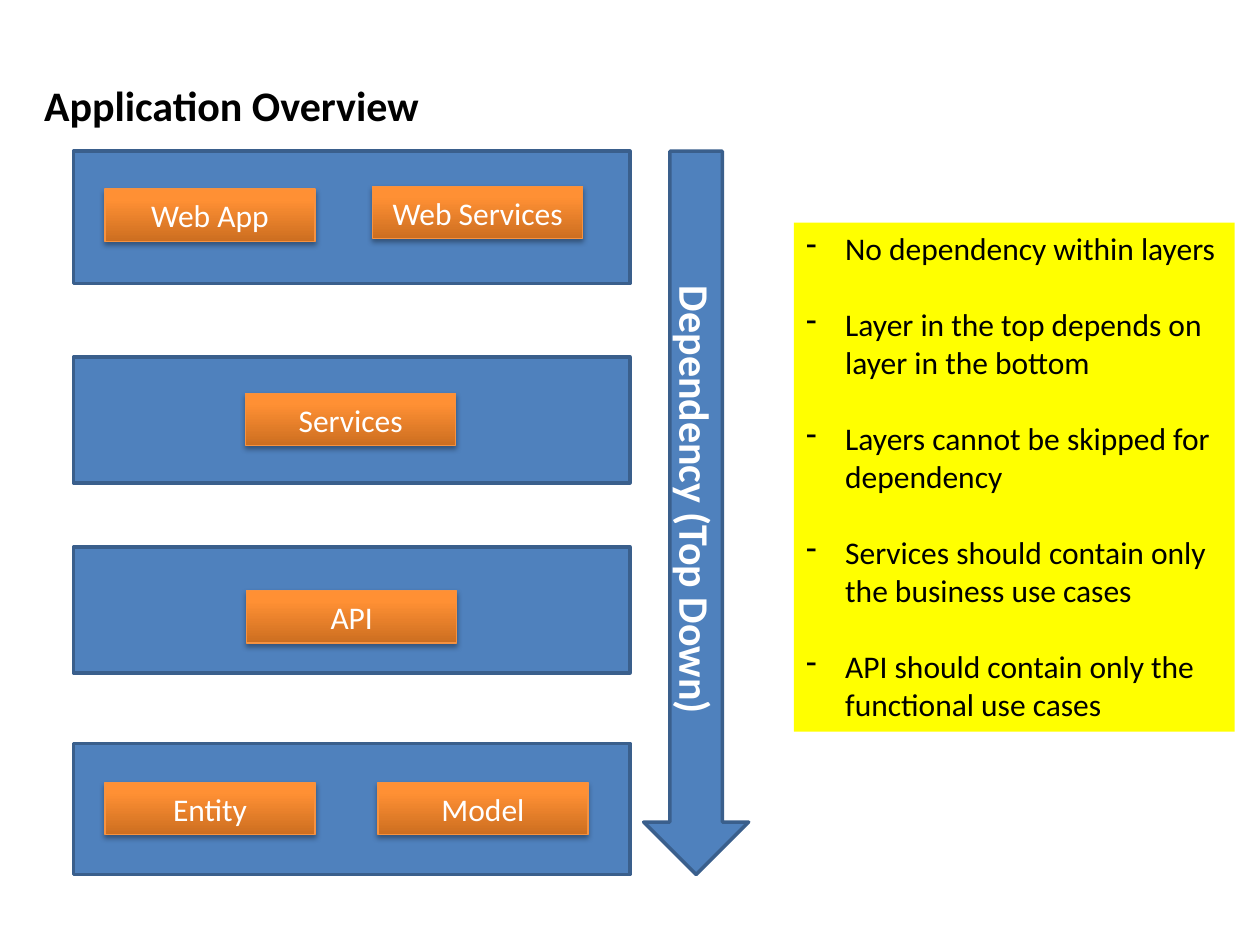
from dataclasses import dataclass

import lxml.etree
import pptx
import pptx.dml.color
import pptx.enum.shapes
import pptx.enum.text
import pptx.oxml.ns
import pptx.util

UNIT = pptx.util.Inches(1) / 12  # grid of 120 columns by 90 rows
KIND = pptx.enum.shapes.MSO_SHAPE
ALIGN = pptx.enum.text.PP_ALIGN
ANCHOR = pptx.enum.text.MSO_ANCHOR
COLORS = {
    "blue": "4F81BD", "navy": "3A5F8C", "edge": "F69240", "dark": "CC6E20",
    "mid": "FF9034", "light": "FF9136", "yellow": "FFFF00",
    "black": "000000", "white": "FFFFFF",
}
SHADE = (("dark", 0), ("mid", 80), ("light", 100))


@dataclass
class Box:
    col: float
    row: float
    cols: float
    rows: float


@dataclass
class Tile:
    name: str
    col: float
    row: float


@dataclass
class Layer:
    row: float
    rows: float
    tiles: tuple[Tile, ...]


LAYERS = (
    Layer(14.4, 12.6, (Tile("Web App", 10, 18), Tile("Web Services", 35.5, 17.75))),
    Layer(34, 12, (Tile("Services", 23.4, 37.45),)),
    Layer(52.1, 12, (Tile("API", 23.5, 56.25),)),
    Layer(70.8, 12.5, (Tile("Entity", 10, 74.5), Tile("Model", 36, 74.5))),
)
NOTES = (
    "No dependency within layers",
    "Layer in the top depends on layer in the bottom",
    "Layers cannot be skipped for dependency",
    "Services should contain only the business use cases",
    "API should contain only the functional use cases",
)


def rgb(name: str):
    return pptx.dml.color.RGBColor.from_string(COLORS[name])


def node(parent, tag: str, **attrs):
    """Add a DrawingML child element."""
    return lxml.etree.SubElement(parent, pptx.oxml.ns.qn(f"a:{tag}"), attrs)


def span(box: Box) -> list[int]:
    return [round(n * UNIT) for n in (box.col, box.row, box.cols, box.rows)]


def style(para, size: int, color: str, bold: bool = False, align=ALIGN.LEFT) -> None:
    para.alignment = align
    font = para.font
    font.name, font.size, font.bold = "Calibri", pptx.util.Pt(size), bold
    font.color.rgb = rgb(color)


def block(slide, box: Box, fill: str = "blue", line: str | None = "navy",
          width: float = 2, kind=KIND.RECTANGLE):
    shape = slide.shapes.add_shape(kind, *span(box))
    shape.shadow.inherit = False
    shape.fill.solid()
    shape.fill.fore_color.rgb = rgb(fill)
    if line:
        shape.line.color.rgb = rgb(line)
        shape.line.width = pptx.util.Pt(width)
    else:
        shape.line.fill.background()
    return shape


def label(shape, text: str, size: int, bold: bool = False) -> None:
    frame = shape.text_frame
    frame.text = text
    frame.vertical_anchor = ANCHOR.MIDDLE
    style(frame.paragraphs[0], size, "white", bold, ALIGN.CENTER)


def glow(shape) -> None:
    """Give a tile its orange gradient and soft drop shadow."""
    shape.fill.gradient()
    shape.fill.gradient_angle = 90
    props = shape._element.spPr
    stops = props.find(".//" + pptx.oxml.ns.qn("a:gsLst"))
    for stop in list(stops):
        stops.remove(stop)
    for name, share in SHADE:
        stop = node(stops, "gs", pos=str(share * 1000))
        node(stop, "srgbClr", val=COLORS[name])
    shade = node(props.find(pptx.oxml.ns.qn("a:effectLst")), "outerShdw",
                 blurRad=str(pptx.util.Pt(3.1)), dist=str(pptx.util.Pt(1.8)),
                 dir="5400000", rotWithShape="0")
    node(node(shade, "srgbClr", val=COLORS["black"]), "alpha", val="35000")


def stack(slide, layer: Layer) -> None:
    block(slide, Box(7, layer.row, 53, layer.rows))
    for tile in layer.tiles:
        shape = block(slide, Box(tile.col, tile.row, 20, 5), "mid", "edge", 0.75)
        glow(shape)
        label(shape, tile.name, 18)


def head(slide) -> None:
    title = slide.shapes.title
    title.left, title.top, title.width, title.height = span(Box(3, 7, 103, 6))
    frame = title.text_frame
    frame.text = "Application Overview"
    frame.vertical_anchor = ANCHOR.TOP
    style(frame.paragraphs[0], 24, "black", True)


def arrow(slide) -> None:
    shape = block(slide, Box(61.3, 14.4, 10, 68.9), kind=KIND.DOWN_ARROW)
    label(shape, "Dependency (Top Down)", 24, True)
    shape.text_frame._txBody.bodyPr.set("vert", "vert")


def notes(slide) -> None:
    frame = block(slide, Box(75.6, 21.2, 42, 48.5), "yellow", None).text_frame
    frame.vertical_anchor = ANCHOR.TOP
    frame.text = "\n".join(NOTES)
    dent = pptx.util.Inches(0.31)
    for num, para in enumerate(frame.paragraphs):
        style(para, 18, "black")
        para.space_before = pptx.util.Pt(22 if num else 0)
        props = para._p.get_or_add_pPr()
        props.set("marL", str(dent))
        props.set("indent", str(-dent))
        mark = lxml.etree.Element(pptx.oxml.ns.qn("a:buChar"), char="-")
        props.find(pptx.oxml.ns.qn("a:defRPr")).addprevious(mark)


def main() -> None:
    deck = pptx.Presentation()
    deck.slide_width = round(120 * UNIT)
    deck.slide_height = round(90 * UNIT)
    slide = deck.slides.add_slide(deck.slide_layouts.get_by_name("Title Only"))
    head(slide)
    for layer in LAYERS:
        stack(slide, layer)
    arrow(slide)
    notes(slide)
    deck.save("out.pptx")


if __name__ == "__main__":
    main()
